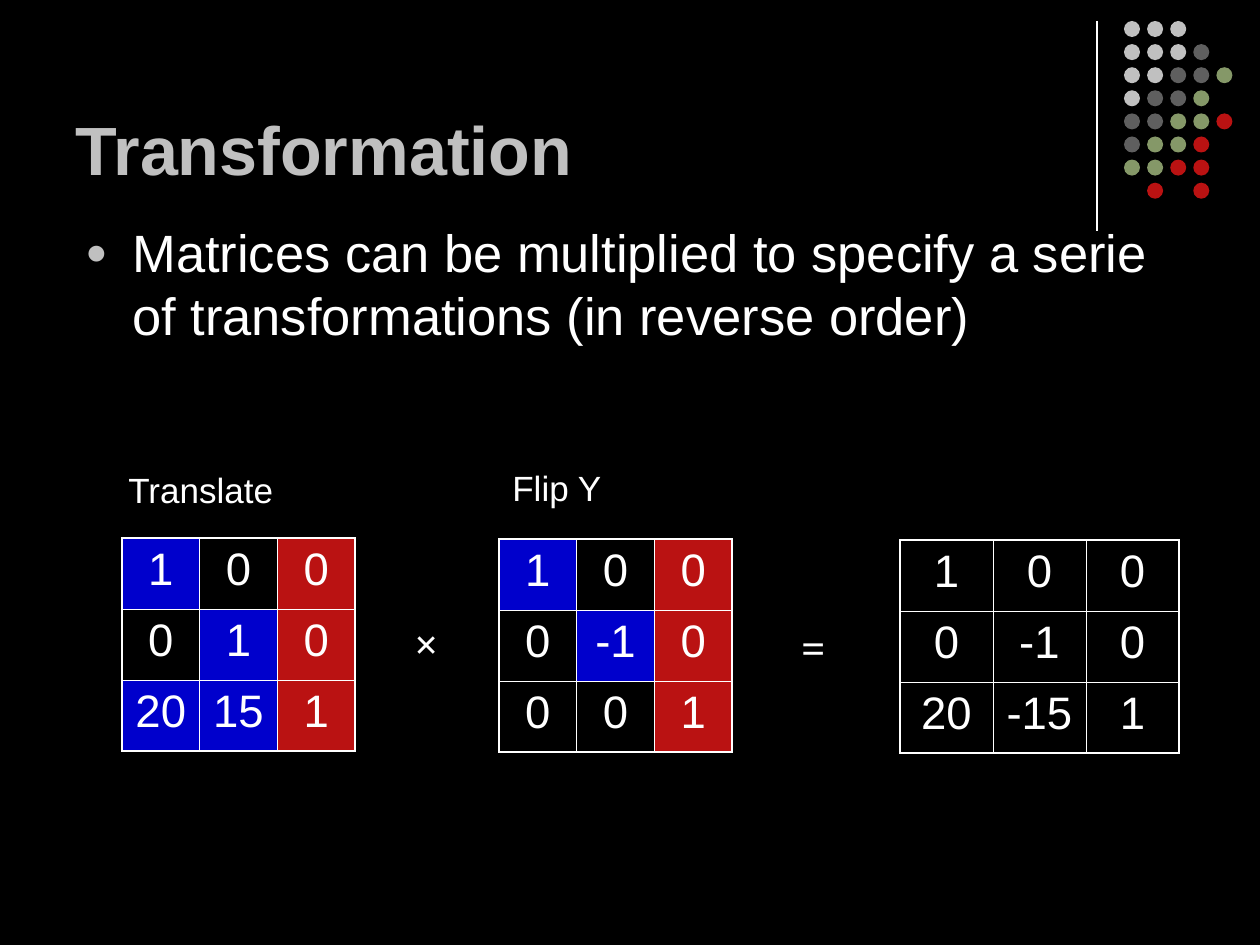
"""Build a slide on multiplying transformation matrices."""
import pptx
import pptx.dml.color
import pptx.enum.shapes
import pptx.enum.text
import pptx.oxml
import pptx.oxml.ns
import pptx.util

RGB = pptx.dml.color.RGBColor
BLACK = RGB(0x00, 0x00, 0x00)
WHITE = RGB(0xFF, 0xFF, 0xFF)
SILVER = RGB(0xC0, 0xC0, 0xC0)
GRAY = RGB(0x5F, 0x5F, 0x5F)
GREEN = RGB(0x85, 0x98, 0x68)
RED = RGB(0xBA, 0x12, 0x12)
BLUE = RGB(0x00, 0x00, 0xCC)

SCALE = 914400 / 126
ALIGN = pptx.enum.text.PP_ALIGN
ANCHOR = pptx.enum.text.MSO_ANCHOR
NS = pptx.oxml.ns.nsdecls("a")

DOTS = ["SSS", "SSSG", "SSGGN", "SGGN", "GGNNR", "GNNR", "NNRR", " R R"]
INKS = {"S": SILVER, "G": GRAY, "N": GREEN, "R": RED, "B": BLUE}
MOVE = [["1", "0", "0"], ["0", "1", "0"], ["20", "15", "1"]]
FLIP = [["1", "0", "0"], ["0", "-1", "0"], ["0", "0", "1"]]
RESULT = [["1", "0", "0"], ["0", "-1", "0"], ["20", "-15", "1"]]


def px(*sizes):
    """Turn pixel lengths into a list of EMU."""
    return [pptx.util.Emu(round(size * SCALE)) for size in sizes]


def write(frame, text, size, font="Arial", color=WHITE, bold=False,
          align=ALIGN.LEFT, anchor=ANCHOR.TOP, before=0):
    """Fill a text frame with one formatted paragraph and return it."""
    frame.word_wrap = True
    frame.vertical_anchor = anchor
    para = frame.paragraphs[0]
    para.alignment = align
    para.space_before = pptx.util.Pt(before)
    run = para.add_run()
    run.text = text
    run.font.size = pptx.util.Pt(size)
    run.font.name = font
    run.font.bold = bold
    run.font.color.rgb = color
    return para


def add_text(slide, box, text, size, **style):
    """Add a text box and return its paragraph."""
    frame = slide.shapes.add_textbox(*px(*box)).text_frame
    return write(frame, text, size, **style)


def add_title(slide, box, text):
    """Place and format the title."""
    title = slide.shapes.title
    title.left, title.top, title.width, title.height = px(*box)
    title.text_frame.auto_size = pptx.enum.text.MSO_AUTO_SIZE.NONE
    write(title.text_frame, text, 39, color=SILVER, bold=True,
          anchor=ANCHOR.BOTTOM)


def add_bullet(slide, box, text):
    """Add a bulleted paragraph with a hanging indent."""
    para = add_text(slide, box, text, 30, before=7.5)
    props = para._p.get_or_add_pPr()
    indent = px(47)[0]
    props.set("marL", str(indent))
    props.set("indent", str(-indent))
    for mark in (f'<a:buClr {NS}><a:srgbClr val="{SILVER}"/></a:buClr>',
                 f'<a:buSzPct {NS} val="70000"/>',
                 f'<a:buFont {NS} typeface="Arial"/>',
                 f'<a:buChar {NS} char="●"/>'):
        props.append(pptx.oxml.parse_xml(mark))


def add_rule(slide, x, top, bottom):
    """Draw a thin vertical line."""
    kind = pptx.enum.shapes.MSO_CONNECTOR.STRAIGHT
    rule = slide.shapes.add_connector(kind, *px(x, top, x, bottom))
    rule.line.color.rgb = WHITE
    rule.line.width = pptx.util.Pt(0.75)
    rule._element.spPr.append(pptx.oxml.parse_xml(f"<a:effectLst {NS}/>"))


def add_dots(slide, left, top, pitch, size):
    """Draw the corner pattern of coloured dots."""
    kind = pptx.enum.shapes.MSO_SHAPE.OVAL
    for row, line in enumerate(DOTS):
        for col, key in enumerate(line):
            if key == " ":
                continue
            spot = px(left + col * pitch, top + row * pitch, size, size)
            dot = slide.shapes.add_shape(kind, *spot)
            dot.shadow.inherit = False
            dot.fill.solid()
            dot.fill.fore_color.rgb = INKS[key]
            dot.line.fill.background()


def add_edges(cell, row, col, last):
    """Draw cell borders, thicker on the outside of the matrix."""
    outer = {"L": col == 0, "R": col == last, "T": row == 0, "B": row == last}
    props = cell._tc.get_or_add_tcPr()
    for side, thick in outer.items():
        width = pptx.util.Pt(1.08 if thick else 0.45)
        props.append(pptx.oxml.parse_xml(
            f'<a:ln{side} {NS} w="{width}"><a:solidFill>'
            f'<a:srgbClr val="{WHITE}"/></a:solidFill></a:ln{side}>'))


def add_matrix(slide, left, top, values, width, fills):
    """Add a square matrix as a table, with a fill key for each cell."""
    count = len(values)
    box = px(left, top, width * count, 71 * count)
    table = slide.shapes.add_table(count, count, *box).table
    table.first_row = table.horz_banding = False
    for col in table.columns:
        col.width = px(width)[0]
    for r, line in enumerate(values):
        table.rows[r].height = px(71)[0]
        for c, value in enumerate(line):
            cell = table.cell(r, c)
            write(cell.text_frame, value, 26, align=ALIGN.CENTER, before=6.5)
            add_edges(cell, r, c, count - 1)
            key = fills[r][c]
            if key in INKS:
                cell.fill.solid()
                cell.fill.fore_color.rgb = INKS[key]
            else:
                cell.fill.background()


def main():
    """Build and save the slide."""
    deck = pptx.Presentation()
    deck.slide_width, deck.slide_height = px(1260, 945)
    slide = deck.slides.add_slide(deck.slide_layouts[5])
    slide.background.fill.solid()
    slide.background.fill.fore_color.rgb = BLACK

    add_rule(slide, 1097, 21, 231)
    add_dots(slide, 1124, 21, 23.1, 16)
    add_title(slide, (63, 16, 1040, 179), "Transformation")
    add_bullet(slide, (73, 214, 1134, 218),
               "Matrices can be multiplied to specify a serie "
               "of transformations (in reverse order)")

    add_matrix(slide, 122, 538, MOVE, 77.7, ["B R", " BR", "BBR"])
    add_matrix(slide, 499, 539, FLIP, 77.7, ["B R", " BR", "  R"])
    add_matrix(slide, 900, 540, RESULT, 93, ["   "] * 3)
    for text, x, y in (("Translate", 116, 462), ("Flip Y", 500, 460)):
        add_text(slide, (x, y, 185, 55), text, 20, before=12.5)
    for text, x, y in (("×", 402, 611), ("=", 789, 615)):
        add_text(slide, (x, y, 57, 63), text, 24, font="Times New Roman",
                 bold=True, before=15)
    deck.save("out.pptx")


if __name__ == "__main__":
    main()
